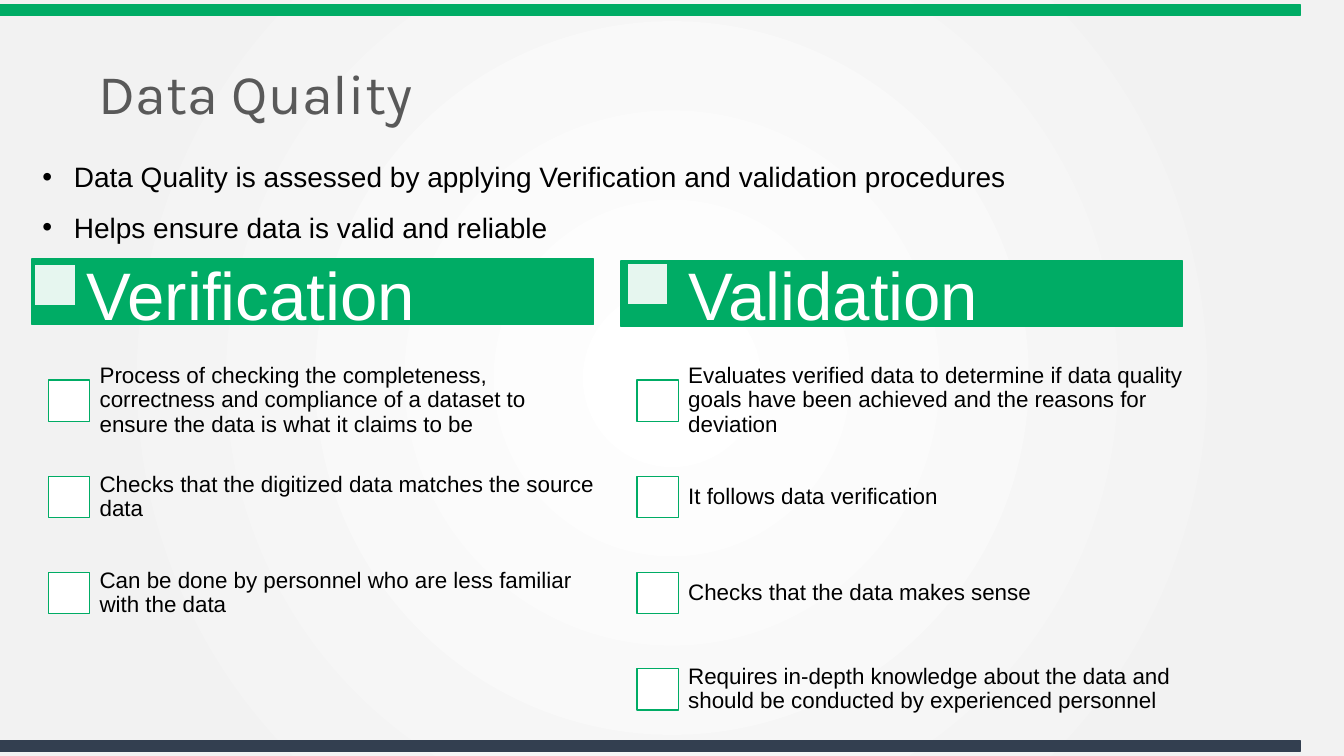
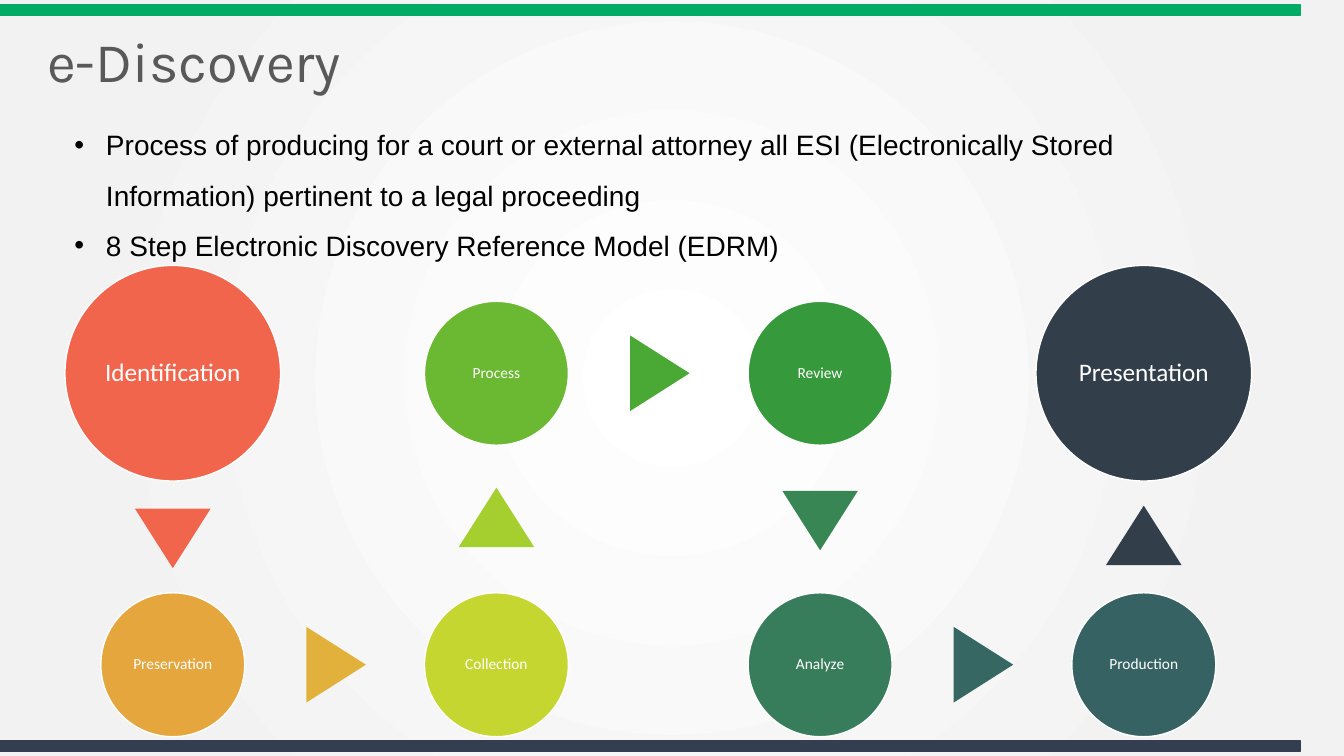
from pptx import Presentation
from pptx.dml.color import RGBColor
from pptx.enum.shapes import MSO_SHAPE
from pptx.enum.text import MSO_ANCHOR, MSO_AUTO_SIZE, PP_ALIGN
from pptx.oxml import parse_xml
from pptx.oxml.ns import qn
from pptx.util import Pt
from lxml import etree

RECT, OVAL, TRIANGLE = MSO_SHAPE.RECTANGLE, MSO_SHAPE.OVAL, MSO_SHAPE.ISOSCELES_TRIANGLE
MIDDLE, NO_FIT = MSO_ANCHOR.MIDDLE, MSO_AUTO_SIZE.NONE
LEFT, CENTER = PP_ALIGN.LEFT, PP_ALIGN.CENTER

GREEN = RGBColor(0x00, 0xAC, 0x65)
NAVY = RGBColor(0x33, 0x3F, 0x50)
GREY = RGBColor(0x59, 0x59, 0x59)
BLACK = RGBColor(0x00, 0x00, 0x00)
WHITE = RGBColor(0xFF, 0xFF, 0xFF)

BACKGROUND = """
<a:gradFill xmlns:a="http://schemas.openxmlformats.org/drawingml/2006/main" rotWithShape="1">
  <a:gsLst>
    <a:gs pos="0"><a:srgbClr val="FFFFFF"/></a:gs>
    <a:gs pos="81000"><a:srgbClr val="F2F2F2"/></a:gs>
    <a:gs pos="100000"><a:srgbClr val="F2F2F2"/></a:gs>
  </a:gsLst>
  <a:path path="circle"><a:fillToRect l="50000" t="50000" r="50000" b="50000"/></a:path>
</a:gradFill>"""

# Slide 1: header band, icon and heading places, then the checklist
COLUMNS = [
    ("Verification", (23, 185), (24.8, 188.6), 54.7, 34.6, [
        "Process of checking the completeness, correctness and compliance of a dataset"
        " to ensure the data is what it claims to be",
        "Checks that the digitized data matches the source data",
        "Can be done by personnel who are less familiar with the data"]),
    ("Validation", (443.5, 186.5), (447.8, 187.9), 484.6, 455, [
        "Evaluates verified data to determine if data quality goals have been achieved"
        " and the reasons for deviation",
        "It follows data verification",
        "Checks that the data makes sense",
        "Requires in-depth knowledge about the data and should be conducted by"
        " experienced personnel"]),
]
BOX, ROW_TOP, ROW_PITCH = 29.5, 252, 68.7

# Slide 2: name, column, row, circle colour, colour of the arrow to the next step
STEPS = [
    ("Identification", 0, 0, "F1654C", "F1654C"),
    ("Preservation", 0, 1, "E5A63D", "E2B13B"),
    ("Collection", 1, 1, "C5D630", "A5CF2E"),
    ("Process", 1, 0, "6BB932", "4AA934"),
    ("Review", 2, 0, "36993B", "378654"),
    ("Analyze", 2, 1, "377D5C", "366763"),
    ("Production", 3, 1, "366263", "323F4B"),
    ("Presentation", 3, 0, "323F4B", None),
]
COL_X, COL_PITCH, ROW_Y, ROW_GAP = 123.4, 231.2, 266.6, 208.2
BIG, SMALL = 154, 102.8
ARROW_W, ARROW_H, ARROW_SHIFT = 54, 42.5, 1.1


def add_run(p, text, font, size, color):
    r = p.add_run()
    r.text = text
    r.font.name, r.font.size = font, Pt(size)
    r.font.color.rgb = color


def place(sp, x, y, w, h):
    sp.left, sp.top, sp.width, sp.height = Pt(x), Pt(y), Pt(w), Pt(h)


def add_block(slide, kind, x, y, w, h, fill, line=None):
    sp = slide.shapes.add_shape(kind, Pt(x), Pt(y), Pt(w), Pt(h))
    sp.shadow.inherit = False
    sp.fill.solid()
    sp.fill.fore_color.rgb = fill
    if line is None:
        sp.line.fill.background()
    else:
        sp.line.color.rgb = line
        sp.line.width = Pt(1)
    return sp


def set_text(sp, text, font, size, color, align, inset_x, inset_y):
    tf = sp.text_frame
    tf.word_wrap = True
    tf.vertical_anchor = MIDDLE
    tf.margin_left = tf.margin_right = Pt(inset_x)
    tf.margin_top = tf.margin_bottom = Pt(inset_y)
    p = tf.paragraphs[0]
    p.alignment, p.line_spacing = align, 0.9
    add_run(p, text, font, size, color)


def add_label(slide, x, y, w, h, text, size, color, inset_x, inset_y):
    sp = slide.shapes.add_textbox(Pt(x), Pt(y), Pt(w), Pt(h))
    set_text(sp, text, "Arial", size, color, LEFT, inset_x, inset_y)


def set_title(slide, text, x, y):
    sp = slide.shapes.title
    place(sp, x, y, 842.4, 57.6)
    sp.text_frame.auto_size = NO_FIT
    set_text(sp, text, "Karla", 40, GREY, LEFT, 7.2, 3.6)


def set_bullets(slide, items, x, y, h, level, indent):
    sp = slide.placeholders[1]
    place(sp, x, y, 898.6, h)
    tf = sp.text_frame
    tf.auto_size = NO_FIT
    for i, text in enumerate(items):
        p = tf.paragraphs[0] if i == 0 else tf.add_paragraph()
        p.level, p.line_spacing = level, 1.5
        p.space_before = p.space_after = Pt(0)
        add_run(p, text, "Arial", 20, BLACK)
        pPr = p._p.get_or_add_pPr()
        pPr.set("marL", str(Pt(indent)))
        pPr.set("indent", str(Pt(-22.5)))
        etree.SubElement(pPr, qn("a:buFont")).set("typeface", "Arial")
        etree.SubElement(pPr, qn("a:buChar")).set("char", "•")


def set_master(prs, slide):
    """Give the master its background and its two bands."""
    master = prs.slide_master
    master.background.fill.gradient()
    grad = master.element.find(".//" + qn("a:gradFill"))
    grad.getparent().replace(grad, parse_xml(BACKGROUND))
    for i, (y, color) in enumerate([(3.6, GREEN), (529.2, NAVY)]):
        band = add_block(slide, RECT, 0, y, 928.8, 7.2, color, color)
        band.name = f"Band {i + 1}"
        band.element.nvSpPr.cNvPr.id = 101 + i
        master.shapes._spTree.insert(2 + i, band.element)


def add_column(slide, heading, band, icon, heading_x, box_x, items):
    add_block(slide, RECT, *band, 401, 46.8, GREEN, GREEN)
    sp = add_block(slide, RECT, *icon, BOX, BOX, WHITE, GREEN)
    color = sp.element.spPr.find(qn("a:solidFill"))[0]
    etree.SubElement(color, qn("a:alpha")).set("val", "90000")
    add_label(slide, heading_x, 170.6, 401, 85, heading, 48, WHITE, 7.2, 5)
    for i, text in enumerate(items):
        y = ROW_TOP + i * ROW_PITCH
        add_block(slide, RECT, box_x, y + 19.5, BOX, BOX, WHITE, GREEN)
        add_label(slide, box_x + 28, y, 373, 68.4, text, 16, BLACK, 8.6, 8.6)


def add_arrow(slide, start, end, color):
    """Centre a triangle in the gap between two circles (x, y, diameter)."""
    (x1, y1, d1), (x2, y2, d2) = start, end
    dx, dy = (x2 > x1) - (x2 < x1), (y2 > y1) - (y2 < y1)
    shift = (d1 - d2) / 4 + ARROW_SHIFT
    x = (x1 + x2) / 2 + dx * shift
    y = (y1 + y2) / 2 + dy * shift
    sp = add_block(slide, TRIANGLE, x - ARROW_W / 2, y - ARROW_H / 2,
                   ARROW_W, ARROW_H, color)
    sp.rotation = 90 if dx else 90 + 90 * dy


def add_flow(slide):
    ends = (STEPS[0], STEPS[-1])
    circles = [(COL_X + col * COL_PITCH, ROW_Y + row * ROW_GAP,
                BIG if step in ends else SMALL)
               for step in STEPS for col, row in [step[1:3]]]
    for i, (name, _, _, fill, arrow) in enumerate(STEPS):
        x, y, d = circles[i]
        sp = add_block(slide, OVAL, x - d / 2, y - d / 2, d, d,
                       RGBColor.from_string(fill), WHITE)
        set_text(sp, name, "Calibri", 18 if d == BIG else 11, WHITE, CENTER, 1.5, 1.5)
        if arrow:
            add_arrow(slide, circles[i], circles[i + 1], RGBColor.from_string(arrow))


def main():
    prs = Presentation()
    prs.slide_width, prs.slide_height = Pt(960), Pt(540)
    layout = prs.slide_layouts[1]

    # Data quality
    slide = prs.slides.add_slide(layout)
    set_master(prs, slide)
    set_title(slide, "Data Quality", 63.4, 40.3)
    set_bullets(slide, [
        "Data Quality is assessed by applying Verification and validation procedures",
        "Helps ensure data is valid and reliable"], 23, 98.6, 113, 0, 22.5)
    for column in COLUMNS:
        add_column(slide, *column)

    # e-Discovery
    slide = prs.slides.add_slide(layout)
    set_title(slide, "e-Discovery", 26.6, 17.3)
    set_bullets(slide, [
        "Process of producing for a court or external attorney all ESI"
        " (Electronically Stored Information) pertinent to a legal proceeding",
        "8 Step Electronic Discovery Reference Model (EDRM)"], 10, 75.6, 149, 1, 58.5)
    add_flow(slide)

    prs.save("out.pptx")


if __name__ == "__main__":
    main()
